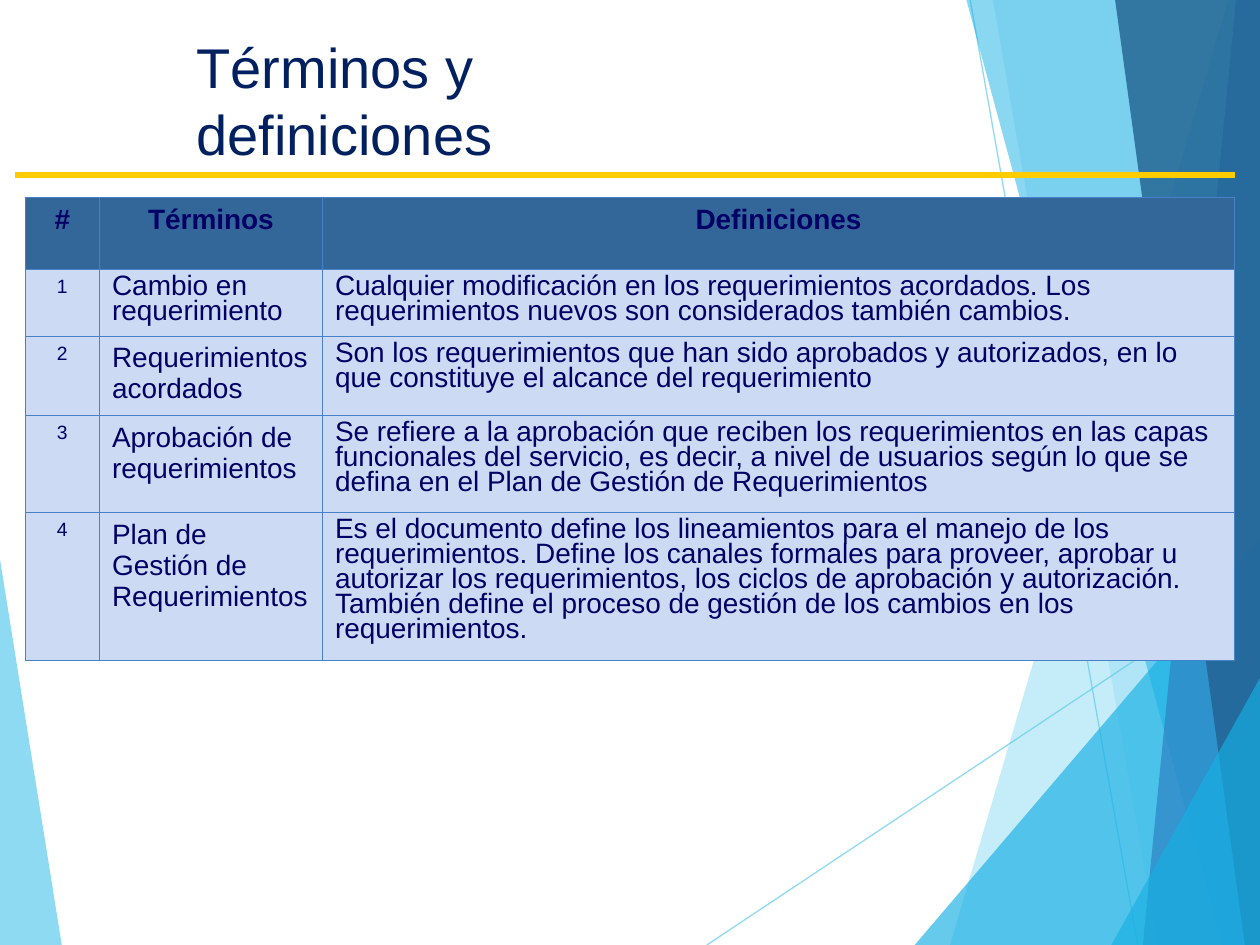
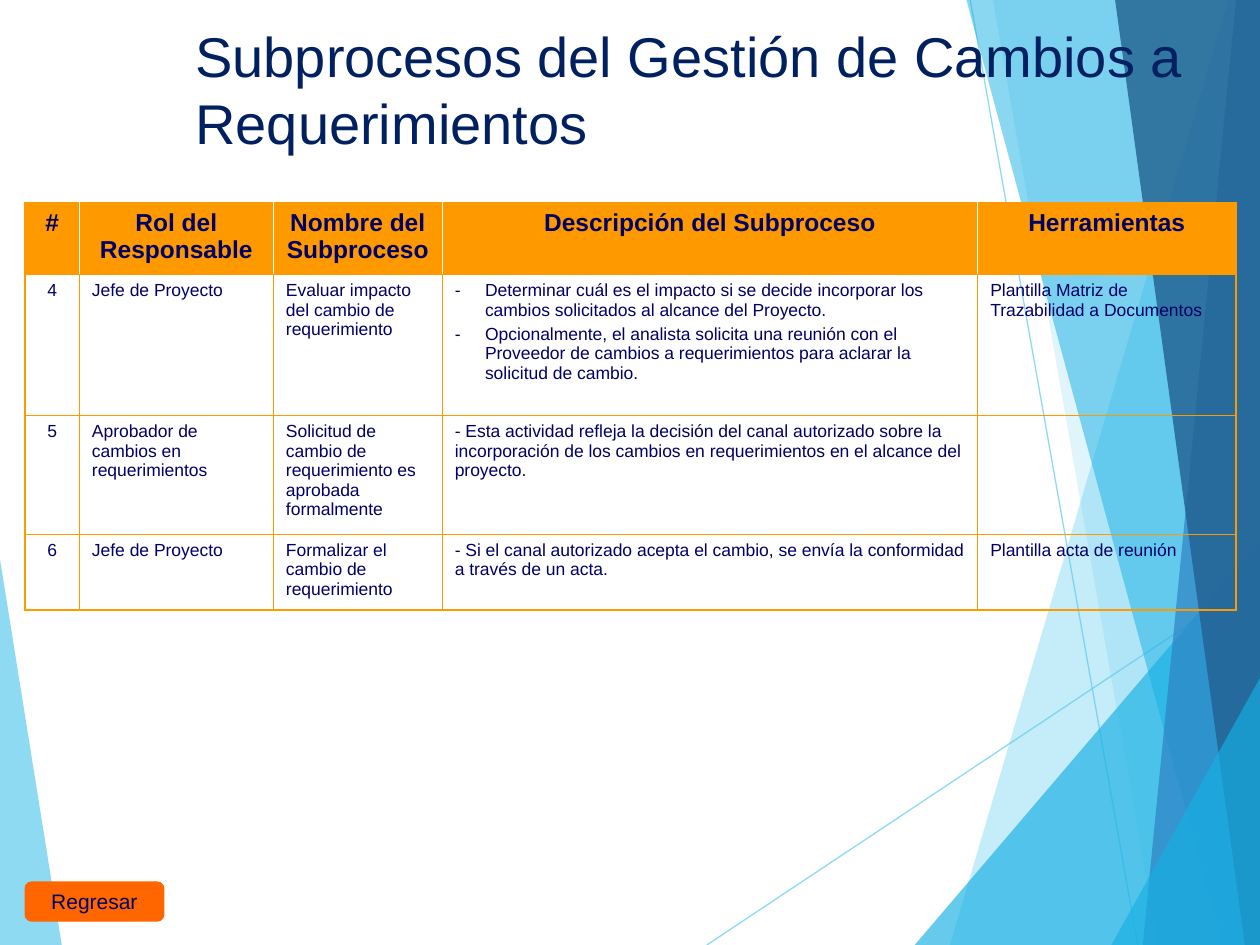
"""Builds two slides of terms and subprocesses for requirement change management."""
from dataclasses import dataclass
from typing import NamedTuple, Optional

from lxml import etree
from pptx import Presentation
from pptx import util as u
from pptx.dml.color import RGBColor
from pptx.enum import shapes, text
from pptx.oxml import ns

NAVY = RGBColor(0x00, 0x20, 0x60)
INK = RGBColor(0x00, 0x00, 0x66)
SKY = RGBColor(0x5F, 0xCB, 0xEF)
CYAN = RGBColor(0x17, 0xB0, 0xE4)
BLUE = RGBColor(0x2E, 0x83, 0xC3)
DEEP = RGBColor(0x23, 0x62, 0x92)
YELLOW = RGBColor(0xFF, 0xCC, 0x00)
STEEL = RGBColor(0x33, 0x66, 0x99)
PALE = RGBColor(0xCD, 0xDA, 0xF3)
GRID = RGBColor(0x47, 0x82, 0xC9)
ORANGE = RGBColor(0xFF, 0x99, 0x00)
BUTTON = RGBColor(0xFF, 0x66, 0x00)
WHITE = RGBColor(0xFF, 0xFF, 0xFF)
FONT = "Arial"
PLAIN_TABLE = "{2D5ABB26-0587-4C30-8999-92F81FD0307C}"
LEFT, CENTER = text.PP_ALIGN.LEFT, text.PP_ALIGN.CENTER


class Facet(NamedTuple):
    """A translucent polygon of the backdrop."""
    color: RGBColor
    opacity: int
    points: tuple


class Edge(NamedTuple):
    """One cell border."""
    color: RGBColor
    points: float


class Entry(NamedTuple):
    """The paragraphs and text style of one cell."""
    paragraphs: tuple
    size: float
    align: text.PP_ALIGN = LEFT
    spacing: float = 1.0
    bold: bool = False
    dashed: bool = False


@dataclass
class Grid:
    """Geometry and colours of one table."""
    top: float
    columns: tuple
    heights: tuple
    header_fill: RGBColor
    body_fill: Optional[RGBColor]
    inner: Edge
    outer: Edge
    header_divider: Edge


FACETS = (
    Facet(SKY, 70, ((0, 4.44), (0.49, 7.5), (0, 7.5))),
    Facet(SKY, 36, ((9.75, 0), (7.54, 7.5), (10, 7.5), (10, 0))),
    Facet(SKY, 20, ((7.88, 0), (9.19, 7.5), (10, 7.5), (10, 0))),
    Facet(CYAN, 66, ((7.26, 7.5), (10, 4.29), (10, 7.5))),
    Facet(CYAN, 50, ((7.67, 0), (9.7, 7.5), (10, 7.5), (10, 0))),
    Facet(BLUE, 70, ((9.81, 0), (9.07, 7.5), (10, 7.5), (10, 0))),
    Facet(DEEP, 82, ((8.85, 0), (9.88, 7.5), (10, 7.5), (10, 0))),
    Facet(CYAN, 66, ((8.82, 7.5), (10, 5.38), (10, 7.5))),
)
RAYS = ((5.61, 7.5, 10, 4.58), (7.7, 0, 9.03, 7.5))

TERMS_GRID = Grid(1.57, (0.59, 1.77, 7.24), (0.57, 0.53, 0.63, 0.77, 1.17),
                  STEEL, PALE, Edge(GRID, 0.45), Edge(GRID, 0.45), Edge(GRID, 0.45))
TERMS_HEADER = ("#", "Términos", "Definiciones")
TERMS = (
    ("Cambio en requerimiento",
     "Cualquier modificación en los requerimientos acordados. Los requerimientos "
     "nuevos son considerados también cambios."),
    ("Requerimientos acordados",
     "Son los requerimientos que han sido aprobados y autorizados, en lo que "
     "constituye el alcance del requerimiento"),
    ("Aprobación de requerimientos",
     "Se refiere a la aprobación que reciben los requerimientos en las capas "
     "funcionales del servicio, es decir, a nivel de usuarios según lo que se defina "
     "en el Plan de Gestión de Requerimientos"),
    ("Plan de Gestión de Requerimientos",
     "Es el documento define los lineamientos para el manejo de los requerimientos. "
     "Define los canales formales para proveer, aprobar u autorizar los "
     "requerimientos, los ciclos de aprobación y autorización. También define el "
     "proceso de gestión de los cambios en los requerimientos."),
)

STEPS_GRID = Grid(1.61, (0.43, 1.54, 1.34, 4.25, 2.05), (0.57, 1.12, 0.94, 0.6),
                  ORANGE, None, Edge(ORANGE, 0.75), Edge(ORANGE, 1.08), Edge(WHITE, 0.45))
STEPS_HEADER = ("#", "Rol del Responsable", "Nombre del Subproceso",
                "Descripción del Subproceso", "Herramientas")
STEPS = (
    ("Jefe de Proyecto", "Evaluar impacto del cambio de requerimiento",
     ("Determinar cuál es el impacto si se decide incorporar los cambios solicitados "
      "al alcance del Proyecto.",
      "Opcionalmente, el analista solicita una reunión con el Proveedor de cambios a "
      "requerimientos para aclarar la solicitud de cambio."),
     "Plantilla Matriz de Trazabilidad a Documentos"),
    ("Aprobador de cambios en requerimientos",
     "Solicitud de cambio de requerimiento es aprobada formalmente",
     ("- Esta actividad refleja la decisión del canal autorizado sobre la "
      "incorporación de los cambios en requerimientos en el alcance del proyecto.",),
     ""),
    ("Jefe de Proyecto", "Formalizar el cambio de requerimiento",
     ("- Si el canal autorizado acepta el cambio, se envía la conformidad a través "
      "de un acta.",),
     "Plantilla acta de reunión"),
)


def set_opacity(element, percent: int) -> None:
    """Make the solid colour of an element translucent."""
    color = next(element.iter(ns.qn("a:srgbClr")))
    etree.SubElement(color, ns.qn("a:alpha"), val=str(percent * 1000))


def add_line(parent, ends: tuple, color: RGBColor, points: float):
    """Draw a straight line without shadow."""
    line = parent.add_connector(shapes.MSO_CONNECTOR.STRAIGHT, *map(u.Inches, ends))
    line.line.color.rgb = color
    line.line.width = u.Pt(points)
    etree.SubElement(line.element.spPr, ns.qn("a:effectLst"))
    return line


def add_facet(parent, facet: Facet) -> None:
    """Draw one polygon of the backdrop."""
    start, *rest = [tuple(map(u.Inches, point)) for point in facet.points]
    builder = parent.build_freeform(*start)
    builder.add_line_segments(rest, close=True)
    polygon = builder.convert_to_shape()
    polygon.shadow.inherit = False
    polygon.fill.solid()
    polygon.fill.fore_color.rgb = facet.color
    polygon.line.fill.background()
    set_opacity(polygon.element.spPr, facet.opacity)


def move_backdrop_to_layout(slide) -> None:
    """Build the shared backdrop and place it at the back of the layout."""
    backdrop = slide.shapes.add_group_shape()
    add_facet(backdrop.shapes, FACETS[0])
    for ray in RAYS:
        set_opacity(add_line(backdrop.shapes, ray, SKY, 0.75).element.spPr, 70)
    for facet in FACETS[1:]:
        add_facet(backdrop.shapes, facet)
    layout = slide.slide_layout
    layout.shapes.element.insert(2, backdrop.element)
    for number, properties in enumerate(layout.element.iter(ns.qn("p:cNvPr")), 1):
        properties.set("id", str(number))


def add_run(paragraph, words: str, size: float, color: RGBColor, bold: bool = False) -> None:
    """Add a formatted run."""
    run = paragraph.add_run()
    run.text = words
    run.font.name = FONT
    run.font.size = u.Pt(size)
    run.font.bold = bold
    run.font.color.rgb = color


def set_title(slide, words: str, box: tuple, wrap: bool) -> None:
    """Place and format the slide title."""
    title = slide.shapes.title
    title.left, title.top, title.width, title.height = map(u.Inches, box)
    frame = title.text_frame
    frame.word_wrap = wrap
    frame.auto_size = text.MSO_AUTO_SIZE.NONE
    frame.vertical_anchor = text.MSO_ANCHOR.TOP
    frame.paragraphs[0].alignment = LEFT
    add_run(frame.paragraphs[0], words, 32, NAVY)


def set_dash(paragraph) -> None:
    """Give a paragraph a hanging dash bullet."""
    properties = paragraph._p.get_or_add_pPr()
    properties.set("marL", str(u.Inches(0.24)))
    properties.set("indent", str(-u.Inches(0.24)))
    etree.SubElement(properties, ns.qn("a:buFont"), typeface=FONT)
    etree.SubElement(properties, ns.qn("a:buChar"), char="-")


def fill_cell(cell, entry: Entry, fill: Optional[RGBColor]) -> None:
    """Write an entry in a cell and set the cell's fill."""
    if fill is None:
        cell.fill.background()
    else:
        cell.fill.solid()
        cell.fill.fore_color.rgb = fill
    frame = cell.text_frame
    for index, words in enumerate(entry.paragraphs):
        paragraph = frame.add_paragraph() if index else frame.paragraphs[0]
        paragraph.alignment = entry.align
        paragraph.line_spacing = entry.spacing
        if index:
            paragraph.space_before = u.Pt(2.5)
        if entry.dashed:
            set_dash(paragraph)
        if words:
            add_run(paragraph, words, entry.size, INK, entry.bold)
        else:
            paragraph.font.size = u.Pt(entry.size)


def set_borders(cell, edges: dict) -> None:
    """Set the four borders of a cell."""
    properties = cell._tc.get_or_add_tcPr()
    for index, side in enumerate("LRTB"):
        edge = edges[side]
        line = etree.Element(ns.qn(f"a:ln{side}"), w=str(u.Pt(edge.points)))
        solid = etree.SubElement(line, ns.qn("a:solidFill"))
        etree.SubElement(solid, ns.qn("a:srgbClr"), val=str(edge.color))
        properties.insert(index, line)


def add_grid(slide, grid: Grid, rows: list) -> None:
    """Draw a table with a header row and ruled cells."""
    last_row, last_column = len(rows) - 1, len(grid.columns) - 1
    frame = slide.shapes.add_table(
        len(rows), len(grid.columns), u.Inches(0.2), u.Inches(grid.top),
        u.Inches(sum(grid.columns)), u.Inches(sum(grid.heights)))
    table = frame.table
    table.horz_banding = table.first_row = False
    next(frame.element.iter(ns.qn("a:tableStyleId"))).text = PLAIN_TABLE
    for column, width in zip(table.columns, grid.columns):
        column.width = u.Inches(width)
    for row, height in zip(table.rows, grid.heights):
        row.height = u.Inches(height)
    for r, entries in enumerate(rows):
        divider = grid.inner if r else grid.header_divider
        for c, entry in enumerate(entries):
            cell = table.cell(r, c)
            fill_cell(cell, entry, grid.body_fill if r else grid.header_fill)
            set_borders(cell, {
                "L": divider if c else grid.outer,
                "R": divider if c < last_column else grid.outer,
                "T": grid.inner if r else grid.outer,
                "B": grid.inner if r < last_row else grid.outer})


def header_entries(labels: tuple, size: float) -> list:
    """Style the labels of a header row."""
    return [Entry((label,), size, CENTER, bold=True) for label in labels]


def add_terms(slide) -> None:
    """Fill the slide of terms and definitions."""
    set_title(slide, "Términos y definiciones", (1.46, 0.21, 4.87, 0.64), False)
    add_line(slide.shapes, (0.12, 1.39, 9.8, 1.39), YELLOW, 3)
    rows = [header_entries(TERMS_HEADER, 16)]
    for number, (term, definition) in enumerate(TERMS, 1):
        rows.append([Entry((str(number),), 11, CENTER),
                     Entry((term,), 16, spacing=0.8 if number == 1 else 1.0),
                     Entry((definition,), 16, spacing=0.8)])
    add_grid(slide, TERMS_GRID, rows)


def add_return_button(slide) -> None:
    """Draw the return button."""
    button = slide.shapes.add_shape(
        shapes.MSO_SHAPE.FLOWCHART_ALTERNATE_PROCESS,
        *map(u.Inches, (0.2, 7, 1.1, 0.31)))
    button.shadow.inherit = False
    button.fill.solid()
    button.fill.fore_color.rgb = BUTTON
    button.line.color.rgb = BUTTON
    button.line.width = u.Pt(0.75)
    frame = button.text_frame
    frame.word_wrap = False
    frame.vertical_anchor = text.MSO_ANCHOR.MIDDLE
    frame.paragraphs[0].alignment = CENTER
    add_run(frame.paragraphs[0], "Regresar", 12, INK)


def add_subprocesses(slide) -> None:
    """Fill the slide of subprocesses."""
    set_title(slide, "Subprocesos del Gestión de Cambios a Requerimientos",
              (1.45, 0.12, 8.4, 1.17), True)
    rows = [header_entries(STEPS_HEADER, 14)]
    for number, (role, name, description, tool) in enumerate(STEPS, 4):
        rows.append([Entry((str(number),), 10, CENTER), Entry((role,), 10),
                     Entry((name,), 10),
                     Entry(description, 10, dashed=len(description) > 1),
                     Entry((tool,), 10)])
    add_grid(slide, STEPS_GRID, rows)
    add_return_button(slide)


def main() -> None:
    """Build and save the presentation."""
    deck = Presentation()
    deck.slide_width, deck.slide_height = u.Inches(10), u.Inches(7.5)
    title_only = deck.slide_layouts[5]
    terms = deck.slides.add_slide(title_only)
    move_backdrop_to_layout(terms)
    add_terms(terms)
    add_subprocesses(deck.slides.add_slide(title_only))
    deck.save("out.pptx")


if __name__ == "__main__":
    main()
